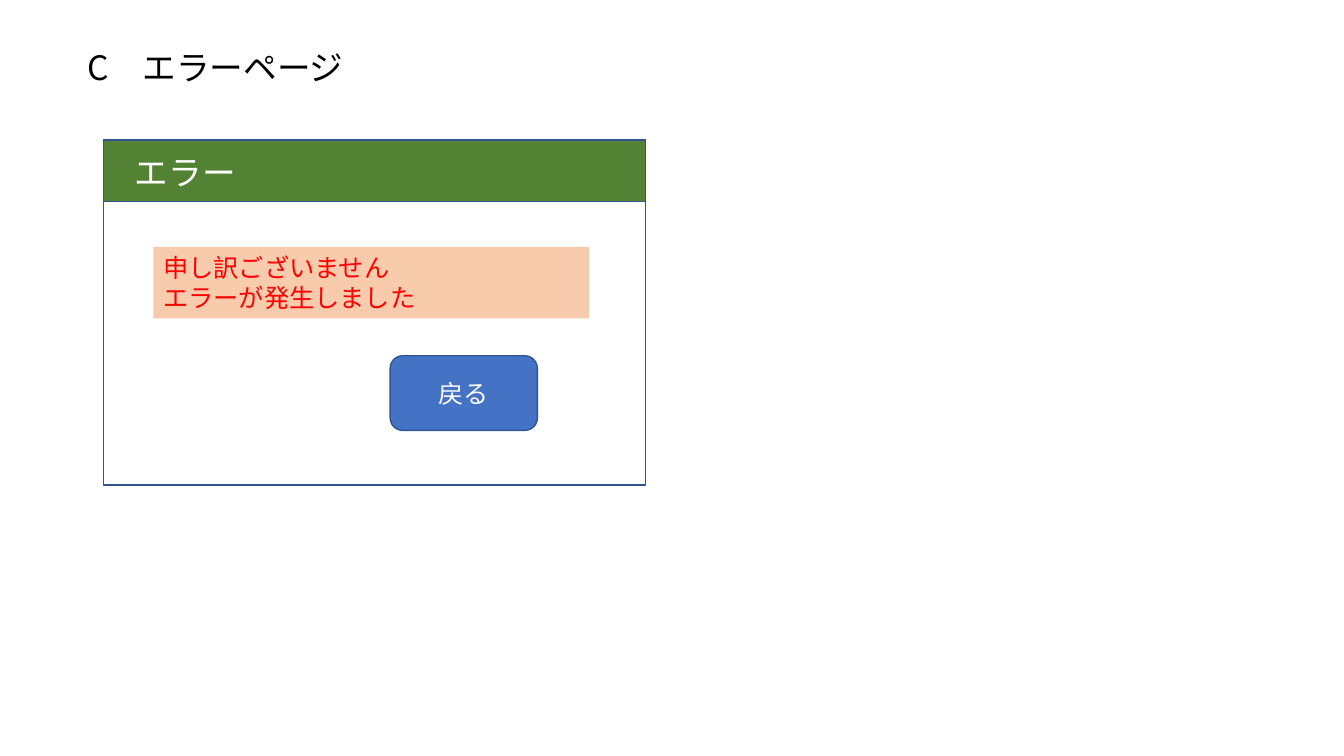
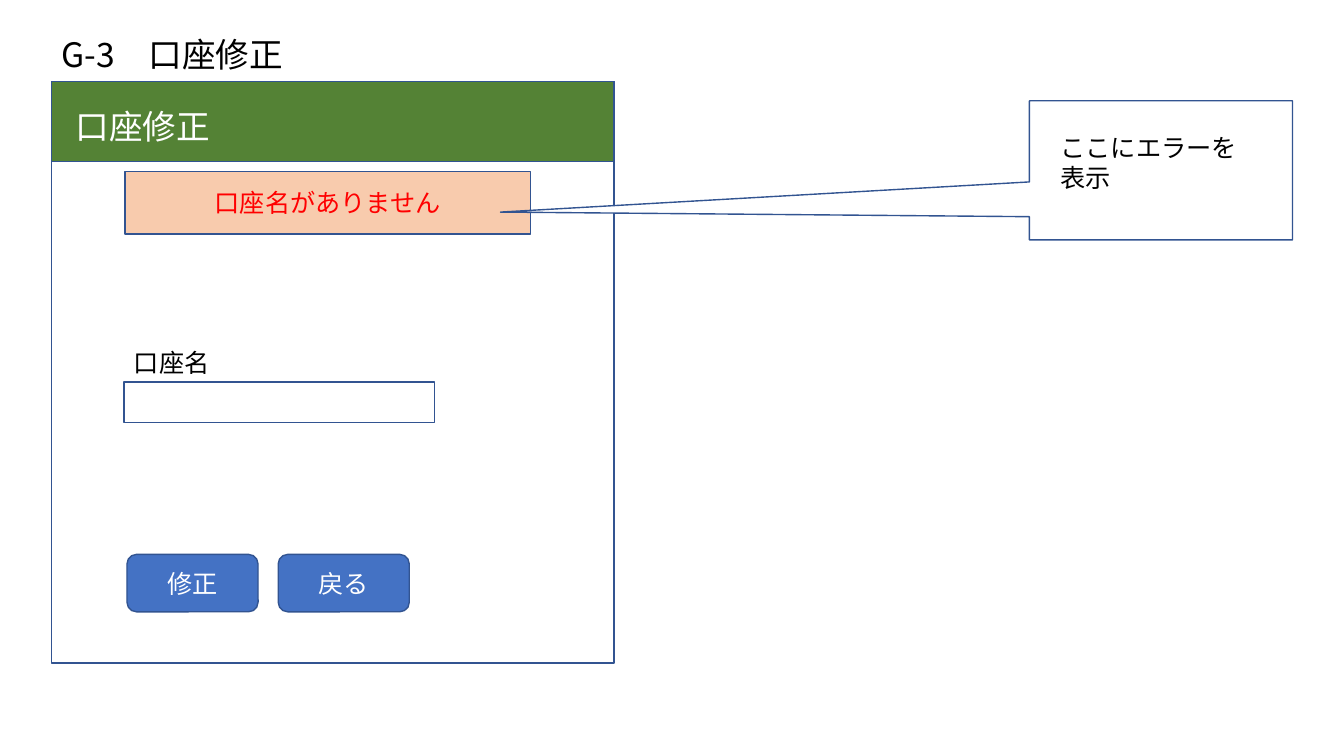
from lxml import etree
from pptx import Presentation
from pptx import util as u
from pptx.dml.color import RGBColor
from pptx.enum import shapes, text
from pptx.oxml import ns

FONT = "Noto Sans CJK JP"
BLACK = RGBColor(0x00, 0x00, 0x00)
WHITE = RGBColor(0xFF, 0xFF, 0xFF)
RED = RGBColor(0xFF, 0x00, 0x00)
GREEN = RGBColor(0x54, 0x82, 0x35)
PEACH = RGBColor(0xF8, 0xCB, 0xAD)
BLUE = RGBColor(0x44, 0x72, 0xC4)
OUTLINE = RGBColor(0x32, 0x54, 0x91)

HEADING_SIZE, BODY_SIZE = 24, 18
RECTANGLE = shapes.MSO_SHAPE.RECTANGLE
ROUNDED = shapes.MSO_SHAPE.ROUNDED_RECTANGLE
CALLOUT = shapes.MSO_SHAPE.RECTANGULAR_CALLOUT


def write(shape, lines, size, color, centred=False):
    """Fill a shape with one paragraph per line."""
    frame = shape.text_frame
    frame.word_wrap = True
    frame.vertical_anchor = text.MSO_ANCHOR.MIDDLE if centred else text.MSO_ANCHOR.TOP
    frame.text = "\n".join(lines)
    for paragraph in frame.paragraphs:
        paragraph.alignment = text.PP_ALIGN.CENTER if centred else text.PP_ALIGN.LEFT
        paragraph.font.size = u.Pt(size)
        paragraph.font.color.rgb = color
        paragraph.font.name = FONT
        # Japanese characters take the East Asian typeface
        properties = paragraph._p.pPr.find(ns.qn("a:defRPr"))
        etree.SubElement(properties, ns.qn("a:ea"), typeface=FONT)


def add_label(slide, box, label, size=BODY_SIZE, color=BLACK):
    write(slide.shapes.add_textbox(*map(u.Inches, box)), [label], size, color)


def add_box(slide, box, fill=None, line=OUTLINE, kind=RECTANGLE):
    shape = slide.shapes.add_shape(kind, *map(u.Inches, box))
    shape.shadow.inherit = False
    if fill is None:
        shape.fill.background()
    else:
        shape.fill.solid()
        shape.fill.fore_color.rgb = fill
    if line is None:
        shape.line.fill.background()
    else:
        shape.line.color.rgb = line
        shape.line.width = u.Pt(1)
    return shape


def add_button(slide, box, label):
    write(add_box(slide, box, BLUE, kind=ROUNDED), [label], BODY_SIZE, WHITE, True)


def add_error(slide, box, lines, line=None, centred=False):
    write(add_box(slide, box, PEACH, line), lines, BODY_SIZE, RED, centred)


def add_callout(slide, box, tail, label_box, label):
    callout = add_box(slide, box, WHITE, kind=CALLOUT)
    callout.adjustments[0], callout.adjustments[1] = tail
    add_label(slide, label_box, label)


def add_screen(presentation, title, title_box, window, band_height, heading, heading_box):
    """Add a slide with its title and a window with a green heading band."""
    slide = presentation.slides.add_slide(presentation.slide_layouts[6])
    add_label(slide, title_box, title, HEADING_SIZE)
    add_box(slide, window)
    add_box(slide, (*window[:3], band_height), GREEN)
    add_label(slide, heading_box, heading, HEADING_SIZE, WHITE)
    return slide


def build_error_page(presentation):
    slide = add_screen(presentation, "C　エラーページ", (0.77, 0.42, 5.9, 0.5),
                       (1.03, 1.39, 5.37, 3.42), 0.61,
                       "エラー", (1.24, 1.46, 2.16, 0.5))
    add_error(slide, (1.52, 2.45, 4.32, 0.71),
              ["申し訳ございません", "エラーが発生しました"])
    add_button(slide, (3.87, 3.53, 1.46, 0.74), "戻る")


def build_account_edit(presentation):
    slide = add_screen(presentation, "G-3　口座修正", (0.51, 0.29, 9.45, 0.5),
                       (0.51, 0.81, 5.58, 5.77), 0.79,
                       "口座修正", (0.65, 1, 2.48, 0.5))
    add_error(slide, (1.24, 1.7, 4.02, 0.62), ["口座名がありません"], OUTLINE, True)
    add_callout(slide, (10.21, 1, 2.61, 1.38), (-2.51, 0.3),
                (10.42, 1.26, 2.13, 0.71), "ここにエラーを表示")

    # Input field
    add_label(slide, (1.23, 3.4, 2.6, 0.4), "口座名")
    add_box(slide, (1.23, 3.79, 3.08, 0.4))

    # Buttons, evenly spaced
    for index, label in enumerate(["修正", "戻る"]):
        add_button(slide, (1.26 + 1.5 * index, 5.5, 1.3, 0.57), label)


def main():
    presentation = Presentation()
    presentation.slide_width = u.Inches(13.33)
    presentation.slide_height = u.Inches(7.5)
    build_error_page(presentation)
    build_account_edit(presentation)
    presentation.save("out.pptx")


if __name__ == "__main__":
    main()
